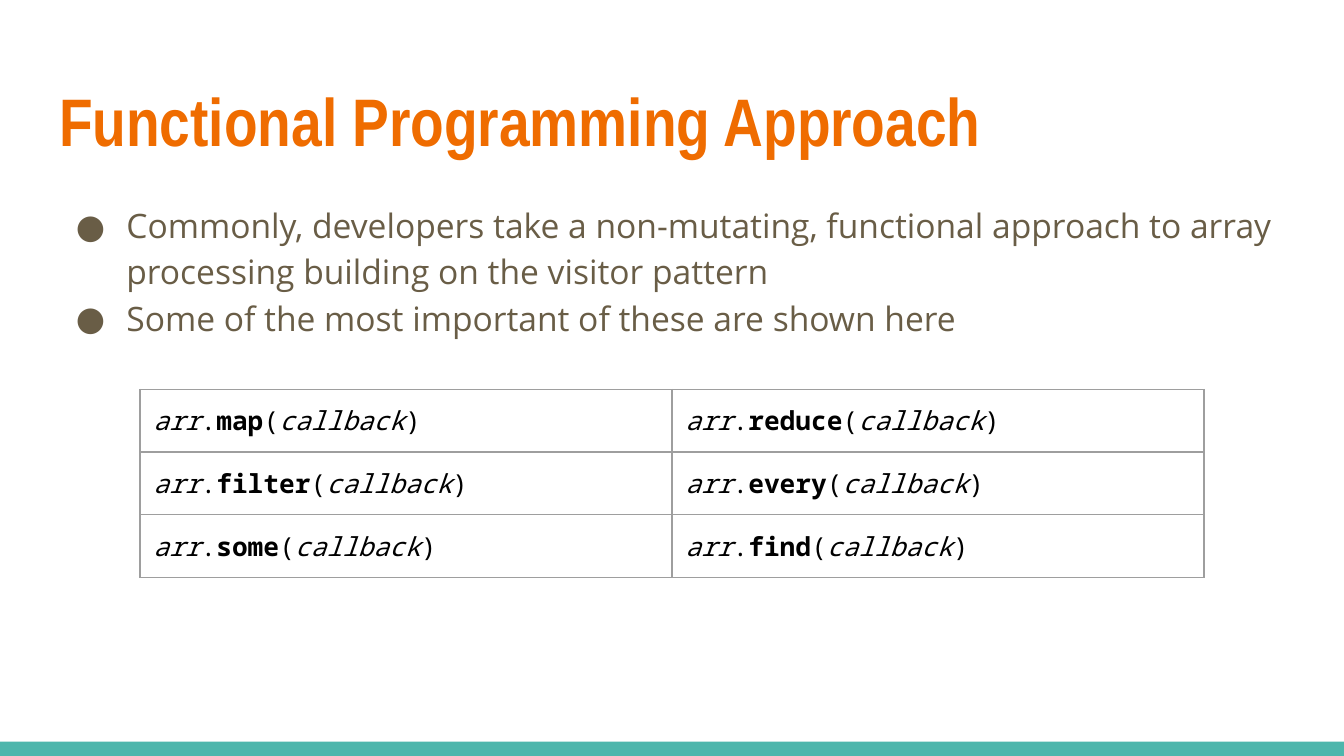
from pptx import Presentation
from pptx.dml.color import RGBColor
from pptx.enum.shapes import MSO_SHAPE
from pptx.enum.text import MSO_ANCHOR, MSO_AUTO_SIZE, PP_ALIGN
from pptx.oxml import parse_xml
from pptx.oxml.ns import nsdecls
from pptx.util import Pt

COLORS = {"accent": "4DB6AC", "title": "EF6C00", "body": "695D46",
          "code": "000000", "border": "9E9E9E"}
INSET = Pt(7.2)


def add_run(paragraph, text, font, size, color, bold=False, italic=False):
    run = paragraph.add_run()
    run.text = text
    run.font.name = font
    run.font.size = Pt(size)
    run.font.bold = bold
    run.font.italic = italic
    run.font.color.rgb = RGBColor.from_string(COLORS[color])


def set_insets(holder):
    holder.margin_left = holder.margin_right = INSET
    holder.margin_top = holder.margin_bottom = INSET


prs = Presentation()
prs.slide_width, prs.slide_height = Pt(720), Pt(405)
slide = prs.slides.add_slide(prs.slide_layouts[1])
title, body = slide.placeholders

# Bottom band
band = slide.shapes.add_shape(MSO_SHAPE.RECTANGLE, 0, Pt(397.4), Pt(720), Pt(7.6))
band.shadow.inherit = False
band.fill.solid()
band.fill.fore_color.rgb = RGBColor.from_string(COLORS["accent"])
band.line.fill.background()

# Title and body frames
for holder, top, height in [(title, 35.4, 55.4), (body, 99.4, 260)]:
    holder.left, holder.top = Pt(24.5), Pt(top)
    holder.width, holder.height = Pt(671), Pt(height)
    frame = holder.text_frame
    frame.word_wrap = True
    frame.vertical_anchor = MSO_ANCHOR.TOP
    set_insets(frame)
title.text_frame.auto_size = MSO_AUTO_SIZE.NONE
body.text_frame.auto_size = MSO_AUTO_SIZE.TEXT_TO_FIT_SHAPE

# Title
heading = title.text_frame.paragraphs[0]
heading.alignment = PP_ALIGN.LEFT
add_run(heading, "Functional Programming Approach", "Arial Narrow", 36, "title", bold=True)

# Bulleted list
points = [
    "Commonly, developers take a non-mutating, functional approach to array "
    "processing building on the visitor pattern",
    "Some of the most important of these are shown here",
]
for index, point in enumerate(points):
    frame = body.text_frame
    paragraph = frame.add_paragraph() if index else frame.paragraphs[0]
    paragraph.line_spacing = 1.15
    paragraph.space_before = paragraph.space_after = Pt(0)
    properties = paragraph._p.get_or_add_pPr()
    properties.set("marL", str(Pt(36)))
    properties.set("indent", str(-Pt(27)))
    for bullet in (f'<a:buClr {nsdecls("a")}><a:srgbClr val="{COLORS["body"]}"/></a:buClr>',
                   f'<a:buSzPct {nsdecls("a")} val="100000"/>',
                   f'<a:buFont {nsdecls("a")} typeface="Open Sans"/>',
                   f'<a:buChar {nsdecls("a")} char="●"/>'):
        properties.append(parse_xml(bullet))
    add_run(paragraph, point, "Open Sans", 18, "body")

# Table of array methods
methods = [("map", "reduce"), ("filter", "every"), ("some", "find")]
table = slide.shapes.add_table(3, 2, Pt(75), Pt(208.7), Pt(570), Pt(99.6)).table
table.first_row = table.horz_banding = False
for row, names in enumerate(methods):
    for column, name in enumerate(names):
        cell = table.cell(row, column)
        cell.vertical_anchor = MSO_ANCHOR.TOP
        set_insets(cell)
        paragraph = cell.text_frame.paragraphs[0]
        for text, bold, italic in [("arr", False, True), (".", False, False),
                                   (name, True, False), ("(", False, False),
                                   ("callback", False, True), (")", False, False)]:
            add_run(paragraph, text, "Noto Sans Mono", 14, "code", bold, italic)
        for side in ("lnL", "lnR", "lnT", "lnB"):
            cell._tc.get_or_add_tcPr().append(parse_xml(
                f'<a:{side} {nsdecls("a")} w="{Pt(0.75)}"><a:solidFill>'
                f'<a:srgbClr val="{COLORS["border"]}"/></a:solidFill></a:{side}>'))
        cell.fill.background()

prs.save("out.pptx")
